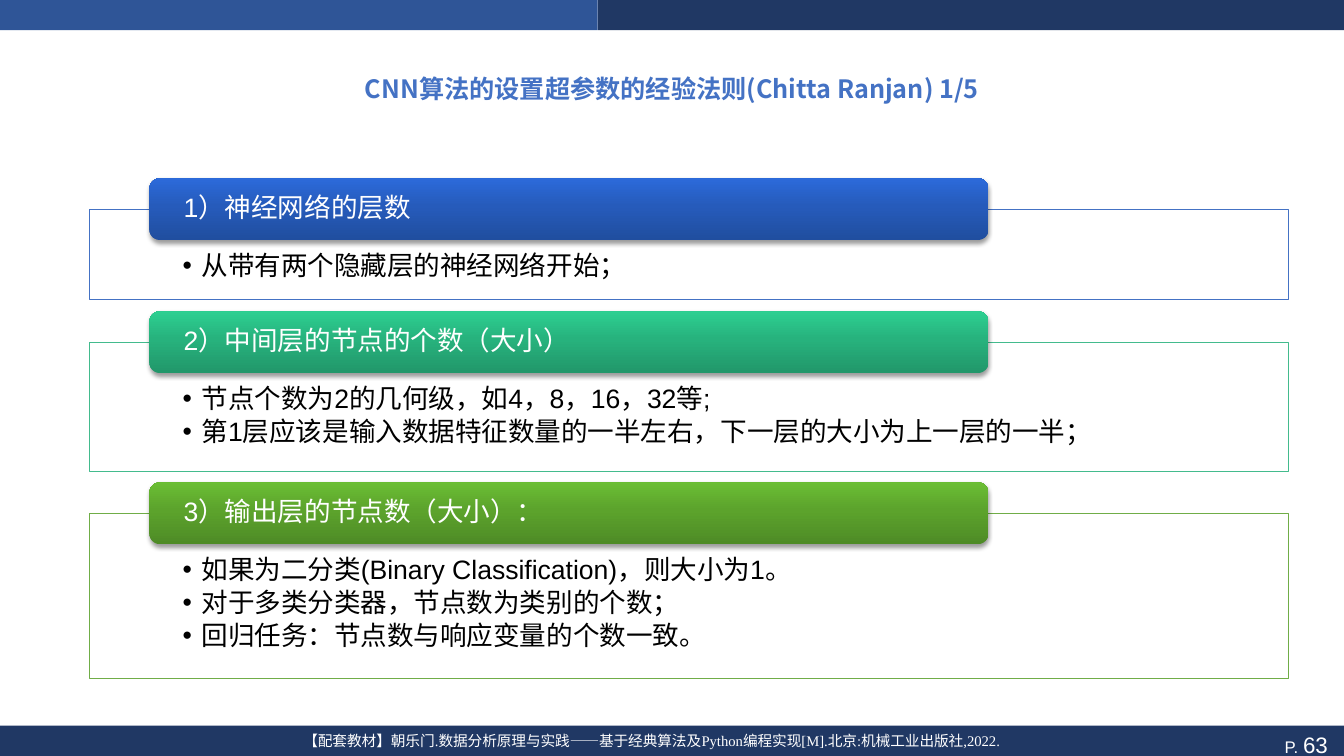
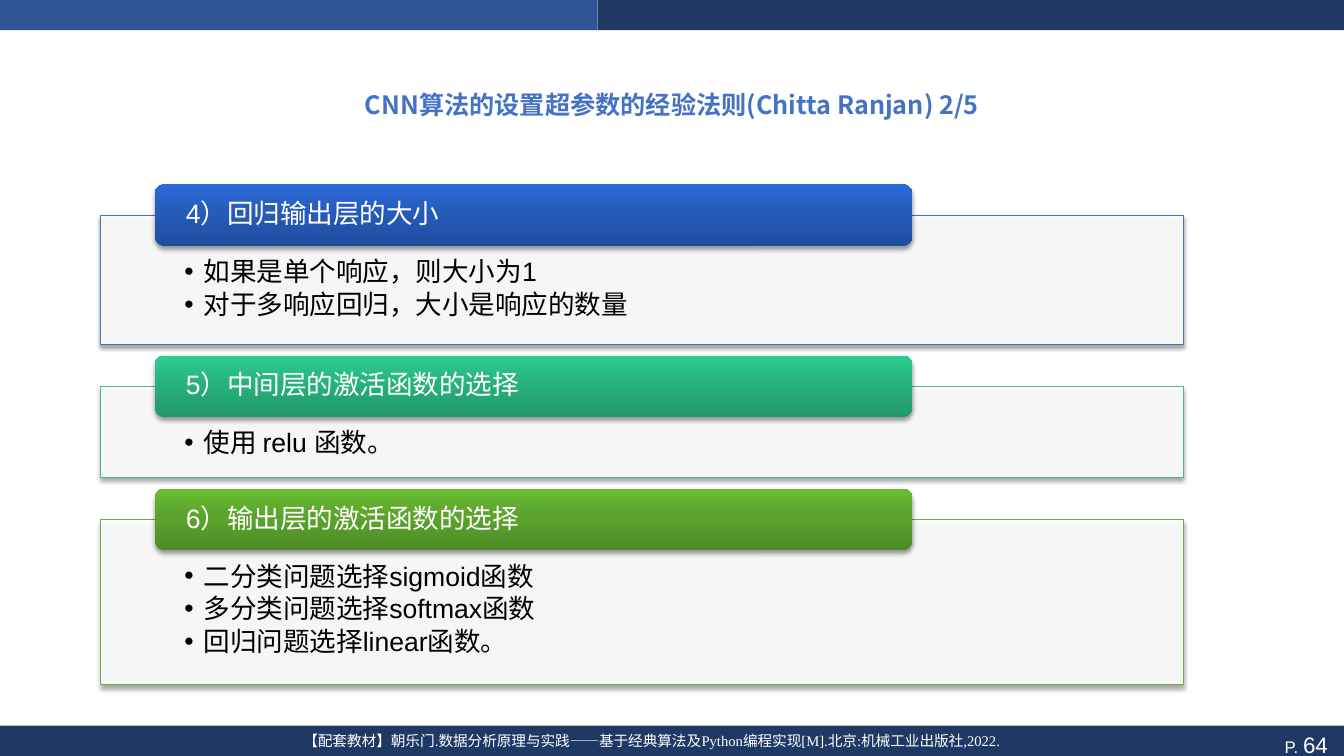
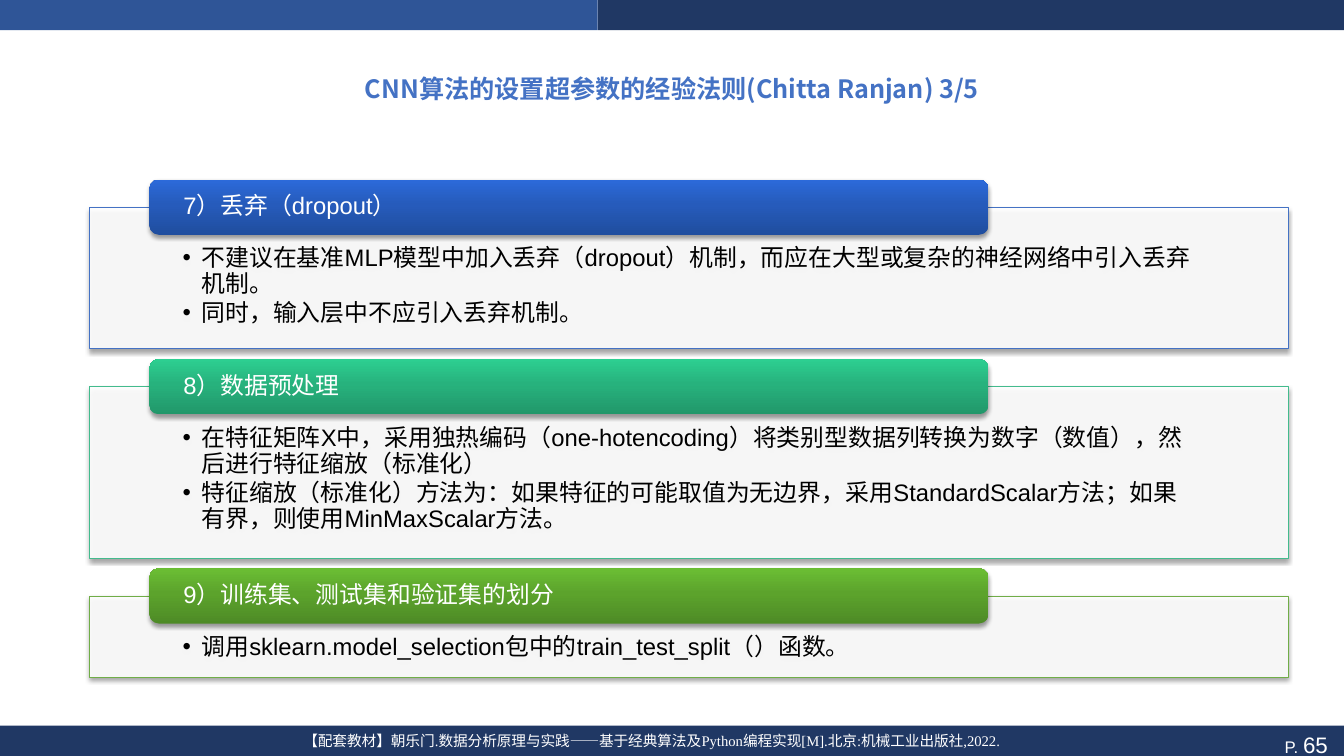
from copy import deepcopy

from lxml import etree
from pptx import Presentation
from pptx.dml.color import RGBColor
from pptx.enum.shapes import MSO_SHAPE
from pptx.enum.text import MSO_ANCHOR, PP_ALIGN
from pptx.oxml.ns import qn
from pptx.util import Pt

RECTANGLE, ROUNDED = MSO_SHAPE.RECTANGLE, MSO_SHAPE.ROUNDED_RECTANGLE
TOP, MIDDLE = MSO_ANCHOR.TOP, MSO_ANCHOR.MIDDLE
LEFT, CENTER, RIGHT = PP_ALIGN.LEFT, PP_ALIGN.CENTER, PP_ALIGN.RIGHT

SLIDE_WIDTH, SLIDE_HEIGHT = 960, 540
BAND_SPLIT, BAND_HEIGHT = 427, 21.6
FOOTER_TOP = 518.4
BULLET_INDENT = 13.6
WHITE, BLACK, NAVY, BLUE, TITLE_BLUE = "FFFFFF", "000000", "203864", "2F5597", "4472C4"
FOOTER = "【配套教材】朝乐门.数据分析原理与实践——基于经典算法及Python编程实现[M].北京:机械工业出版社,2022."
TITLE = "CNN算法的设置超参数的经验法则(Chitta Ranjan) {}/5"

# Outline colour and gradient (bottom to top) of the three sections on a slide
SECTION_STYLES = [
    ("4472C4", ("204E9F", "265BBB", "2C6ADA")),
    ("43BB8D", ("21976A", "27B27D", "2DCF91")),
    ("70AD47", ("4E8B26", "5CA32C", "6BBE34")),
]
GRADIENT_POSITIONS = (0, 0.55, 1)


def color(value):
    return RGBColor.from_string(value)


def add_element(parent, tag, **attributes):
    element = etree.SubElement(parent, qn(tag))
    for name, value in attributes.items():
        element.set(name, str(value))
    return element


class Deck:
    """Holds the shared style and the slide being built."""

    def __init__(self):
        self.presentation = Presentation()
        self.presentation.slide_width = Pt(SLIDE_WIDTH)
        self.presentation.slide_height = Pt(SLIDE_HEIGHT)
        self.slide = None

    def add_slide(self, title, title_top, number):
        self.slide = self.presentation.slides.add_slide(self.presentation.slide_layouts[6])
        # Bands and page number
        self.box(RECTANGLE, 0, 0, BAND_SPLIT, BAND_HEIGHT, BLUE)
        footer_band = self.box(RECTANGLE, 0, FOOTER_TOP, SLIDE_WIDTH, 26.6, NAVY)
        self.box(RECTANGLE, BAND_SPLIT, 0, SLIDE_WIDTH - BAND_SPLIT, BAND_HEIGHT, NAVY)
        self.set_text(footer_band, ["P. "], 12, WHITE, align=RIGHT, anchor=MIDDLE,
                      insets=(11.5, 3.6))
        number_run = footer_band.text_frame.paragraphs[0].add_run()
        number_run.text = str(number)
        self.format_run(number_run, 16, WHITE)
        # Footer and title
        self.text(43.2, 519.1, 844.6, 25.2, FOOTER, 10.5, WHITE, "Times New Roman")
        self.text(31.7, title_top, 896.4, 64.8, title, 18, TITLE_BLUE, "Noto Sans CJK SC",
                  bold=True, anchor=MIDDLE)

    def box(self, kind, left, top, width, height, fill=None):
        shape = self.slide.shapes.add_shape(kind, Pt(left), Pt(top), Pt(width), Pt(height))
        shape.shadow.inherit = False
        shape.line.fill.background()
        if fill:
            shape.fill.solid()
            shape.fill.fore_color.rgb = color(fill)
        return shape

    def text(self, left, top, width, height, content, size, ink, font, bold=False, anchor=TOP):
        shape = self.slide.shapes.add_textbox(Pt(left), Pt(top), Pt(width), Pt(height))
        self.set_text(shape, [content], size, ink, font, bold, CENTER, anchor)

    def set_text(self, shape, lines, size, ink, font="Arial", bold=False, align=LEFT,
                 anchor=TOP, insets=(7.2, 3.6), line_spacing=None, bullets=False):
        frame = shape.text_frame
        frame.word_wrap = True
        frame.vertical_anchor = anchor
        frame.margin_left = frame.margin_right = Pt(insets[0])
        frame.margin_top = Pt(insets[1])
        frame.margin_bottom = Pt(min(insets[1], 10.8))
        frame.text = "\n".join(lines)
        for paragraph in frame.paragraphs:
            if bullets:
                self.add_bullet(paragraph)
                paragraph.space_after = Pt(round(0.15 * size, 2))
            paragraph.alignment = align
            if line_spacing:
                paragraph.line_spacing = line_spacing
            for run in paragraph.runs:
                self.format_run(run, size, ink, font, bold)

    def format_run(self, run, size, ink, font="Arial", bold=False):
        run.font.size = Pt(size)
        run.font.bold = bold
        run.font.name = font
        run.font.color.rgb = color(ink)
        if "CJK" in font:
            add_element(run.font._element, "a:ea", typeface=font)

    def add_bullet(self, paragraph):
        properties = paragraph._p.get_or_add_pPr()
        properties.set("marL", str(Pt(BULLET_INDENT)))
        properties.set("indent", str(-Pt(BULLET_INDENT)))
        add_element(properties, "a:buFont", typeface="Arial")
        add_element(properties, "a:buChar", char="•")

    def add_shadow(self, shape):
        effects = shape._element.spPr.find(qn("a:effectLst"))
        shadow = add_element(effects, "a:outerShdw", blurRad=Pt(3.1), dist=Pt(2),
                             dir=5400000, rotWithShape=0)
        shade = add_element(shadow, "a:srgbClr", val=BLACK)
        add_element(shade, "a:alpha", val=38000)

    def fill_gradient(self, shape, shades):
        shape.fill.gradient()
        shape.fill.gradient_angle = 90
        stop_list = shape._element.spPr.find(".//" + qn("a:gsLst"))
        stop_list.append(deepcopy(stop_list[0]))
        for stop, position, shade in zip(shape.fill.gradient_stops, GRADIENT_POSITIONS, shades):
            stop.position = position
            stop.color.rgb = color(shade)

    def section(self, left, top, width, height, size, style, heading, lines, shadow):
        outline, shades = style
        # Panel with the rules
        panel = self.box(RECTANGLE, left, top, width, height, WHITE)
        fill_color = panel._element.spPr.find(qn("a:solidFill"))[0]
        add_element(fill_color, "a:alpha", val=90000)
        panel.line.color.rgb = color(outline)
        panel.line.width = Pt(0.5)
        if shadow:
            self.add_shadow(panel)
        self.set_text(panel, lines, size, BLACK, insets=(0.0776 * width, 1.64 * size),
                      line_spacing=0.9, bullets=True)
        # Heading banner, centred on the panel's top edge
        banner_height = banner_size(size)
        banner = self.box(ROUNDED, left + 0.05 * width, top - banner_height / 2,
                          0.7 * width, banner_height)
        self.fill_gradient(banner, shades)
        self.add_shadow(banner)
        self.set_text(banner, [heading], size, WHITE, anchor=MIDDLE,
                      insets=(0.026 * width, 0), line_spacing=0.9)

    def sections(self, left, top, width, size, shadow, items):
        step = banner_size(size) / 2 + 0.43 * size
        for style, (height, heading, lines) in zip(SECTION_STYLES, items):
            self.section(left, top, width, height, size, style, heading, lines, shadow)
            top += height + step


def banner_size(size):
    return round(2.32 * size, 2)


# Title top, then left, top, width, text size, panel shadow and sections
SLIDES = [
    (31, (64, 149.4, 856, 19, False, [
        (64.8, "1）神经网络的层数", ["从带有两个隐藏层的神经网络开始；"]),
        (92, "2）中间层的节点的个数（大小）", [
            "节点个数为2的几何级，如4，8，16，32等;",
            "第1层应该是输入数据特征数量的一半左右，下一层的大小为上一层的一半；"]),
        (118, "3）输出层的节点数（大小）：", [
            "如果为二分类(Binary Classification)，则大小为1。",
            "对于多类分类器，节点数为类别的个数；",
            "回归任务：节点数与响应变量的个数一致。"]),
    ])),
    (42.5, (71.8, 153.8, 773.4, 19, True, [
        (92, "4）回归输出层的大小", [
            "如果是单个响应，则大小为1",
            "对于多响应回归，大小是响应的数量"]),
        (64.8, "5）中间层的激活函数的选择", ["使用 relu 函数。"]),
        (118, "6）输出层的激活函数的选择", [
            "二分类问题选择sigmoid函数",
            "多分类问题选择softmax函数",
            "回归问题选择linear函数。"]),
    ])),
    (31, (64, 148, 856, 17, True, [
        (101.2, "7）丢弃（dropout）", [
            "不建议在基准MLP模型中加入丢弃（dropout）机制，而应在大型或复杂的神经网络中引入丢弃机制。",
            "同时，输入层中不应引入丢弃机制。"]),
        (122.4, "8）数据预处理", [
            "在特征矩阵X中，采用独热编码（one-hotencoding）将类别型数据列转换为数字（数值），"
            "然后进行特征缩放（标准化）",
            "特征缩放（标准化）方法为：如果特征的可能取值为无边界，采用StandardScalar方法；"
            "如果有界，则使用MinMaxScalar方法。"]),
        (58, "9）训练集、测试集和验证集的划分", [
            "调用sklearn.model_selection包中的train_test_split（）函数。"]),
    ])),
]


def main():
    deck = Deck()
    for index, (title_top, layout) in enumerate(SLIDES, start=1):
        deck.add_slide(TITLE.format(index), title_top, 62 + index)
        deck.sections(*layout)
    deck.presentation.save("out.pptx")


if __name__ == "__main__":
    main()
